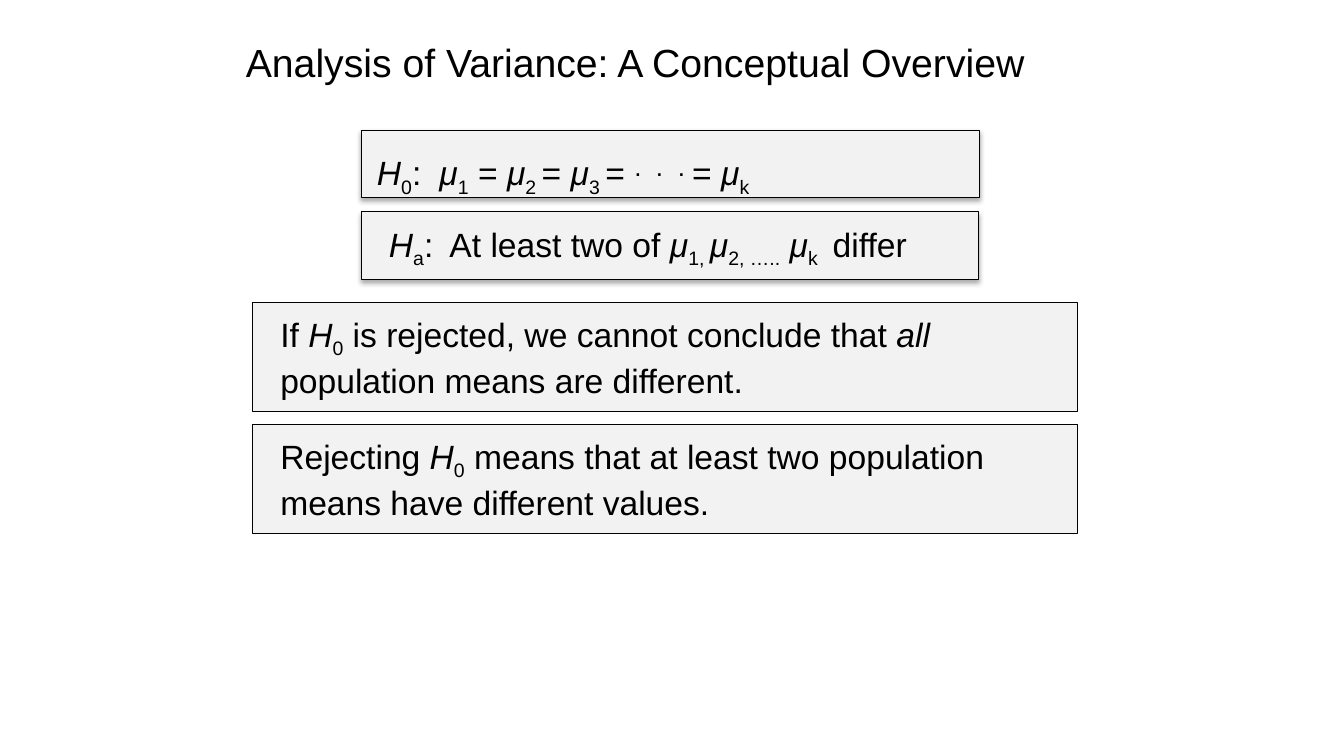
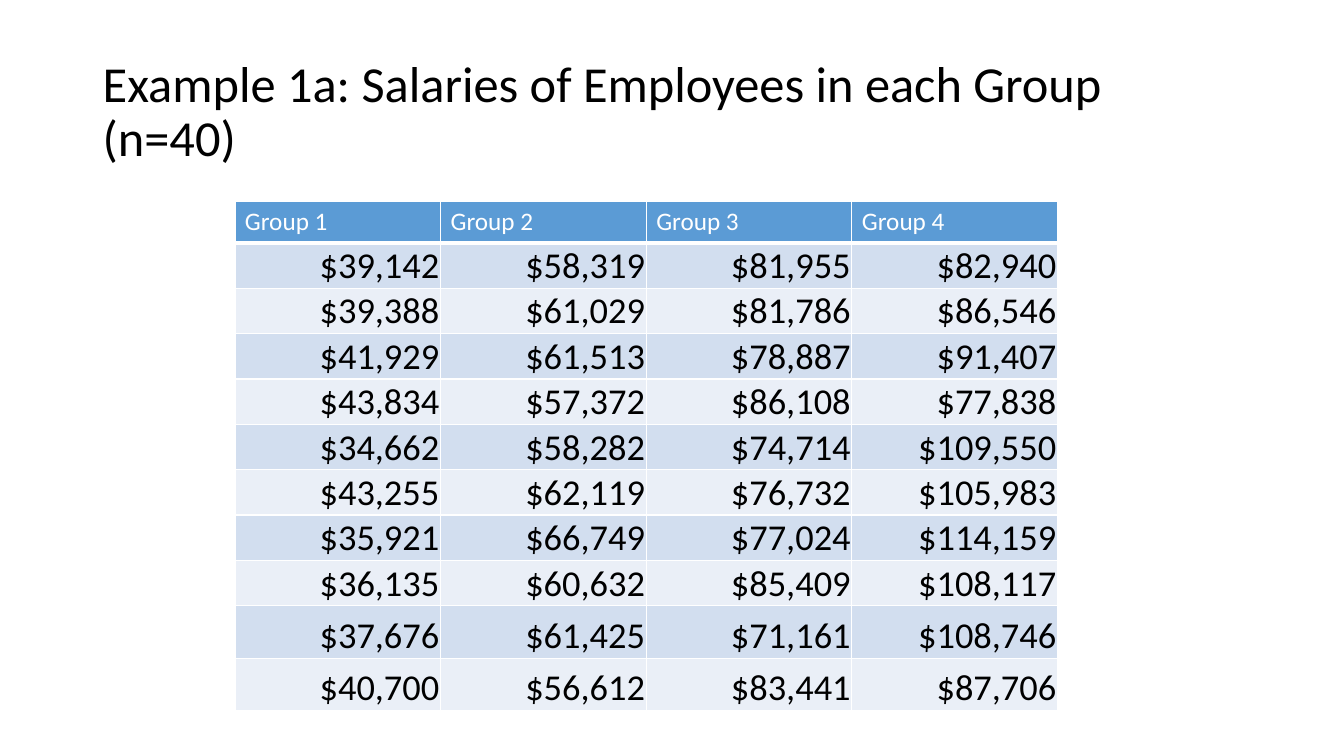
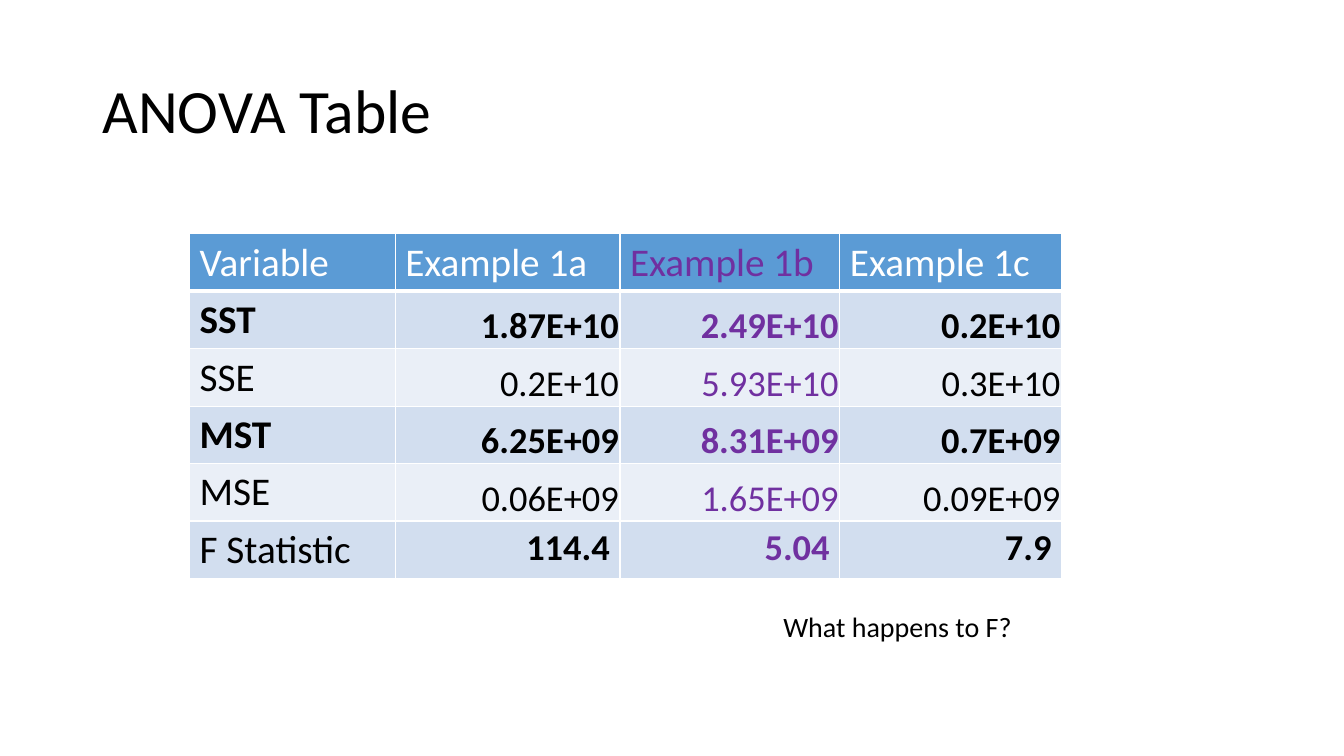
from dataclasses import dataclass
from lxml.etree import SubElement as Sub
from pptx import Presentation
from pptx.dml.color import RGBColor as Rgb
from pptx.enum.shapes import MSO_SHAPE as Shape
from pptx.enum.text import MSO_ANCHOR as Anchor, PP_ALIGN as Align
from pptx.oxml.ns import qn
from pptx.util import Inches, Pt


@dataclass(frozen=True)
class Theme:
    ink: str = "000000"
    white: str = "FFFFFF"
    panel: str = "F2F2F2"
    head: str = "5B9BD5"
    bands: tuple = ("D2DEEF", "EAEFF7")
    mark: str = "7030A0"
    sans: str = "Arial"
    body: str = "Calibri"
    lead: int = 28
    math: int = 24
    cell: int = 26
    label: int = 28
    small: int = 18
    note: int = 20


T = Theme()
INSET = (0.1, 0.05, 0.1, 0.05)
TIGHT = (0.01, 0.01, 0.01, 0)


def term(name, sub):
    return [(name, {"italic": True}), (sub, {"base": -25})]


def write(frame, *paras, size, font=T.body, color=T.ink, bold=False,
          align=Align.LEFT, anchor=Anchor.TOP, inset=INSET, wrap=True,
          tab=None, space=None):
    frame.word_wrap = wrap
    frame.vertical_anchor = anchor
    (frame.margin_left, frame.margin_top,
     frame.margin_right, frame.margin_bottom) = map(Inches, inset)
    for num, runs in enumerate(paras):
        para = frame.add_paragraph() if num else frame.paragraphs[0]
        para.alignment = align
        if space:
            para.line_spacing = space
        if tab:
            tabs = Sub(para._p.get_or_add_pPr(), qn("a:tabLst"))
            Sub(tabs, qn("a:tab"), pos=str(Inches(tab)), algn="l")
        for item in [runs] if isinstance(runs, str) else runs:
            text, look = (item, {}) if isinstance(item, str) else item
            run = para.add_run()
            run.text = text
            face = run.font
            face.name = font
            face.size = Pt(look.get("size", size))
            face.bold = bold
            face.italic = look.get("italic", False)
            face.color.rgb = Rgb.from_string(color)
            props = run._r.get_or_add_rPr()
            if "base" in look:
                props.set("baseline", str(look["base"] * 1000))
            if "gap" in look:
                props.set("spc", str(int(look["gap"] * 100)))


def label(slide, area, *paras, **look):
    box = slide.shapes.add_textbox(*map(Inches, area))
    write(box.text_frame, *paras, **look)


def title(slide, text, size):
    label(slide, (0.92, 0.4, 11.5, 1.45), text, size=size,
          anchor=Anchor.MIDDLE, space=0.9)


def panel(slide, area, lift=False):
    box = slide.shapes.add_shape(Shape.RECTANGLE, *map(Inches, area))
    box.fill.solid()
    box.fill.fore_color.rgb = Rgb.from_string(T.panel)
    box.line.color.rgb = Rgb.from_string(T.ink)
    box.line.width = Pt(0.5)
    box.shadow.inherit = False
    if lift:
        glow = Sub(box._element.spPr.find(qn("a:effectLst")),
                   qn("a:outerShdw"), blurRad=str(Pt(3.5)),
                   dist=str(Pt(2.2)), dir="5400000", rotWithShape="0")
        tint = Sub(glow, qn("a:srgbClr"), val=T.ink)
        Sub(tint, qn("a:alpha"), val="32000")
    return box


def paint(cell, color, base):
    props = cell._tc.get_or_add_tcPr()
    for side in "LRTB":
        width = base if side == "B" else 1
        line = Sub(props, qn(f"a:ln{side}"), w=str(Pt(width)))
        fill = Sub(line, qn("a:solidFill"))
        Sub(fill, qn("a:srgbClr"), val=T.white)
    cell.fill.solid()
    cell.fill.fore_color.rgb = Rgb.from_string(color)


def grid(slide, left, top, cols, rows, data, style):
    frame = slide.shapes.add_table(
        len(rows), len(cols), Inches(left), Inches(top),
        Inches(sum(cols)), Inches(sum(rows)))
    table = frame.table
    for col, width in zip(table.columns, cols):
        col.width = Inches(width)
    for row, high in zip(table.rows, rows):
        row.height = Inches(high)
    for r, line in enumerate(data):
        for c, text in enumerate(line):
            cell = table.cell(r, c)
            paint(cell, T.bands[(r - 1) % 2] if r else T.head, 1 if r else 3)
            look = dict(style(r, c))
            inset = look.pop("inset", INSET)
            anchor = look.pop("anchor", Anchor.TOP)
            write(cell.text_frame, text, **look)
            (cell.margin_left, cell.margin_top,
             cell.margin_right, cell.margin_bottom) = map(Inches, inset)
            cell.vertical_anchor = anchor


def concept(slide):
    look = {"size": T.math, "font": T.sans}
    null = term("H", "0")
    panel(slide, (3.58, 1.29, 6.13, 0.67), lift=True)
    label(slide, (3.64, 1.35, 4.22, 0.5),
          [*null, ":\t", *term("μ", "1"), " = ", *term("μ", "2 "), "= ",
           *term("μ", "3 "), "= ",
           (". . ", {"size": 32, "base": 20, "gap": 2.6}),
           (". ", {"size": 32, "base": 20}), "= ", *term("μ", "k")],
          wrap=False, tab=0.62, **look)
    panel(slide, (3.58, 2.1, 6.12, 0.67), lift=True)
    claims = (
        ([*["If "], *null, " is rejected, we cannot conclude that ",
          ("all", {"italic": True})],
         "population means are different."),
        (["Rejecting ", *null, " means that at least two population"],
         "means have different values."))
    for num, lines in enumerate(claims):
        box = panel(slide, (2.5, 3 + num * 1.21, 8.19, 1.08))
        write(box.text_frame, *lines, anchor=Anchor.MIDDLE,
              inset=(0.28, 0.05, 0.1, 0.05), **look)
    label(slide, (2.34, 0.17, 8.5, 0.89),
          "Analysis of Variance: A Conceptual Overview",
          size=T.lead, font=T.sans, anchor=Anchor.MIDDLE)
    label(slide, (3.76, 2.17, 5.67, 0.5),
          [*term("H", "a"), ":\tAt least two of ", *term("μ", "1, "),
           *term("μ", "2, ….."), *term(" μ", "k")[:1],
           ("k", {"base": -25, "gap": 3.9}), " differ"],
          tab=0.6, **look)


def salary(slide):
    def style(r, c):
        if not r:
            return {"size": T.small, "color": T.white}
        return {"size": T.cell, "align": Align.RIGHT,
                "anchor": Anchor.BOTTOM, "inset": TIGHT}

    title(slide, "Example 1a: Salaries of Employees in each Group (n=40)", 36)
    pay = ((39142, 58319, 81955, 82940),
           (39388, 61029, 81786, 86546),
           (41929, 61513, 78887, 91407),
           (43834, 57372, 86108, 77838),
           (34662, 58282, 74714, 109550),
           (43255, 62119, 76732, 105983),
           (35921, 66749, 77024, 114159),
           (36135, 60632, 85409, 108117),
           (37676, 61425, 71161, 108746),
           (40700, 56612, 83441, 87706))
    data = [[f"Group {num}" for num in range(1, 5)]]
    data += [[f"${sum_:,}" for sum_ in row] for row in pay]
    grid(slide, 2.33, 2, [2.04] * 4, [0.41] + [0.45] * 8 + [0.52] * 2,
         data, style)


def anova(slide):
    def style(r, c):
        tone = T.mark if c == 2 else T.ink if r else T.white
        if not r or not c:
            return {"size": T.label, "color": tone, "bold": r in (1, 3)}
        look = {"size": T.cell, "color": tone, "bold": r % 2 == 1,
                "align": Align.RIGHT}
        if r < 5:
            look.update(anchor=Anchor.BOTTOM, inset=TIGHT)
        return look

    title(slide, "ANOVA Table", 44)
    data = (("Variable", "Example 1a", "Example 1b", "Example 1c"),
            ("SST", "1.87E+10", "2.49E+10", "0.2E+10"),
            ("SSE", "0.2E+10", "5.93E+10", "0.3E+10"),
            ("MST", "6.25E+09", "8.31E+09", "0.7E+09"),
            ("MSE", "0.06E+09", "1.65E+09", "0.09E+09"),
            ("F Statistic", "114.4", "5.04", "7.9"))
    grid(slide, 1.88, 2.32, (2.04, 2.23, 2.18, 2.2), [0.57] * 6, data, style)
    label(slide, (7.67, 6, 4.75, 0.44), "What happens to F?", size=T.note)


def main():
    deck = Presentation()
    deck.slide_width, deck.slide_height = Inches(13.33), Inches(7.5)
    for build in (concept, salary, anova):
        build(deck.slides.add_slide(deck.slide_layouts[6]))
    deck.save("out.pptx")


if __name__ == "__main__":
    main()
